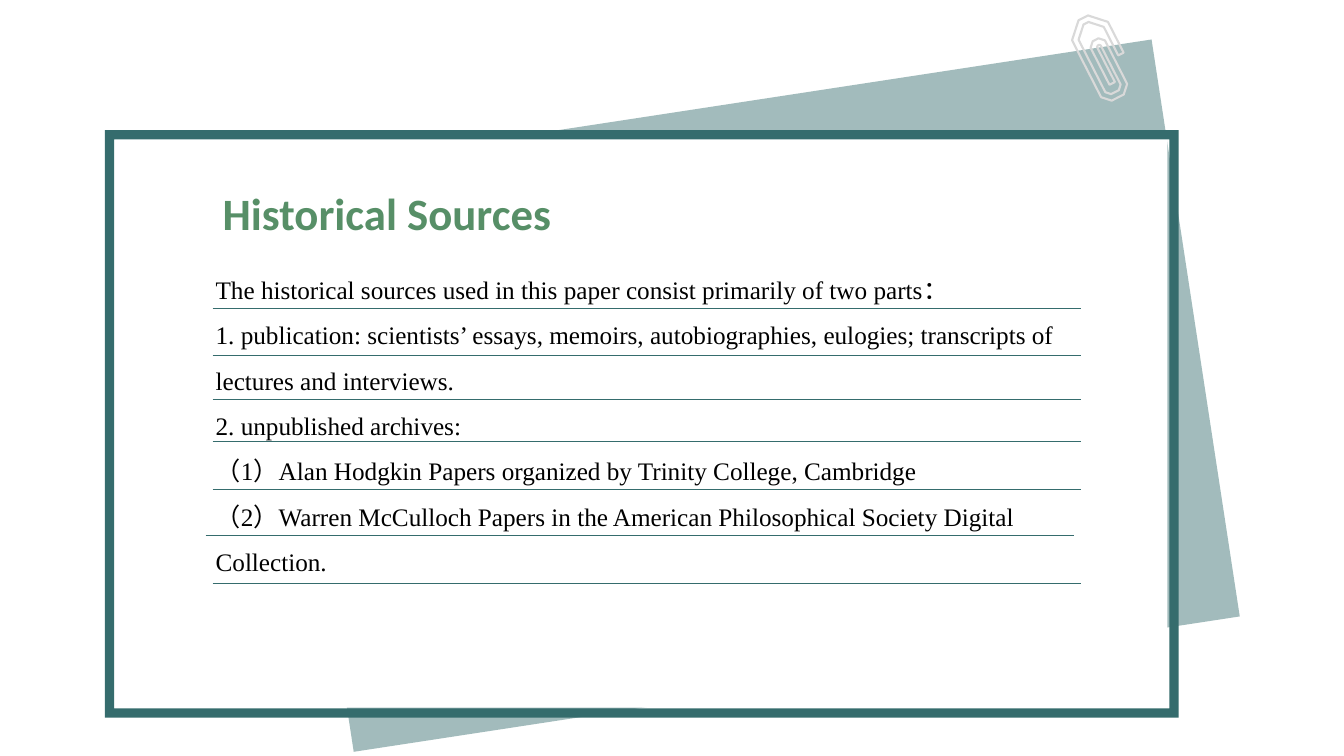
from lxml import etree
from pptx import Presentation
from pptx.dml.color import RGBColor
from pptx.enum.shapes import MSO_CONNECTOR, MSO_SHAPE
from pptx.enum.text import MSO_AUTO_SIZE
from pptx.oxml.ns import qn
from pptx.util import Inches, Pt

RECTANGLE = MSO_SHAPE.RECTANGLE
FRAME = MSO_SHAPE.FRAME
STRAIGHT = MSO_CONNECTOR.STRAIGHT
GROW = MSO_AUTO_SIZE.SHAPE_TO_FIT_TEXT

TEAL = RGBColor(0x35, 0x6C, 0x6D)
GREEN = RGBColor(0x57, 0x8F, 0x67)
GREY = RGBColor(0xD9, 0xD9, 0xD9)
BLACK = RGBColor(0, 0, 0)
WHITE = RGBColor(0xFF, 0xFF, 0xFF)

SOURCES = [
    "The historical sources used in this paper consist primarily of two parts：",
    "1. publication: scientists’ essays, memoirs, autobiographies, eulogies; "
    "transcripts of lectures and interviews.",
    "2. unpublished archives:",
    "（1）Alan Hodgkin Papers organized by Trinity College, Cambridge",
    "（2）Warren McCulloch Papers in the American Philosophical Society Digital Collection.",
]

RULE_LEFT = 2.11
RULE_WIDTH = 8.61
RULE_TOPS = [3.06, 3.53, 3.96, 4.38, 4.85, 5.79]
SHIFTED_RULE = (2.04, 5.31)

CLIP_CENTER = complex(10.94, 0.56)
CLIP_ROTATION = 333
HALF_WIRE = 0.03
OUTER_LEFT, INNER_LEFT, INNER_RIGHT, OUTER_RIGHT = -0.17, -0.04, 0.06, 0.17


def add_block(page, kind, left, top, width, height, color):
    block = page.shapes.add_shape(
        kind, Inches(left), Inches(top), Inches(width), Inches(height))
    block.shadow.inherit = False
    block.fill.solid()
    block.fill.fore_color.rgb = color
    block.line.fill.background()
    return block


def set_opacity(shape, percent):
    color = shape._element.spPr.find(qn("a:solidFill"))[0]
    etree.SubElement(color, qn("a:alpha")).set("val", str(percent * 1000))


def add_text(page, left, top, width, height, lines, font_name, size, color,
             bold=False, spacing=1.0):
    box = page.shapes.add_textbox(
        Inches(left), Inches(top), Inches(width), Inches(height))
    frame = box.text_frame
    frame.word_wrap = True
    frame.auto_size = GROW
    frame.text = "\n".join(lines)
    for para in frame.paragraphs:
        para.line_spacing = spacing
        for span in para.runs:
            span.font.name = font_name
            span.font.size = Pt(size)
            span.font.bold = bold
            span.font.color.rgb = color


def add_rule(page, left, top):
    rule = page.shapes.add_connector(
        STRAIGHT, Inches(left), Inches(top), Inches(left + RULE_WIDTH), Inches(top))
    rule.line.color.rgb = TEAL
    rule.line.width = Pt(0.5)
    etree.SubElement(rule._element.spPr, qn("a:effectLst"))


def bend(start_lane, end_lane, peak, corner):
    inward = corner if end_lane > start_lane else -corner
    shoulder = peak + corner if peak < 0 else peak - corner
    return [
        complex(start_lane, shoulder),
        complex(start_lane + inward, peak),
        complex(end_lane - inward, peak),
        complex(end_lane, shoulder),
    ]


def wire_side(wire):
    steps = [end - start for start, end in zip(wire, wire[1:])]
    normals = [1j * step / abs(step) for step in steps]
    side = []
    for point, before, after in zip(wire, normals[:1] + normals, normals + normals[-1:]):
        miter = (before + after) / (1 + (before * after.conjugate()).real)
        side.append(point + HALF_WIRE * miter)
    return side


def add_paper_clip(page):
    wire = [
        complex(INNER_LEFT, 0.28),
        *bend(INNER_LEFT, INNER_RIGHT, -0.15, 0.03),
        *bend(INNER_RIGHT, OUTER_LEFT, 0.4, 0.06),
        *bend(OUTER_LEFT, OUTER_RIGHT, -0.4, 0.13),
        complex(OUTER_RIGHT, 0.06),
    ]
    outline = wire_side(wire) + wire_side(wire[::-1])
    placed = [CLIP_CENTER + point for point in outline]
    points = [(Inches(point.real), Inches(point.imag)) for point in placed]
    builder = page.shapes.build_freeform(*points[0])
    builder.add_line_segments(points[1:], close=True)
    clip = builder.convert_to_shape()
    clip.shadow.inherit = False
    clip.fill.background()
    clip.line.color.rgb = GREY
    clip.line.width = Pt(1.5)
    clip.rotation = CLIP_ROTATION


def main():
    deck = Presentation()
    deck.slide_width = Inches(13.33)
    deck.slide_height = Inches(7.5)
    page = deck.slides.add_slide(deck.slide_layouts[6])

    backing = add_block(page, RECTANGLE, 3.02, 1.03, 8.89, 5.79, TEAL)
    backing.rotation = 351.3
    set_opacity(backing, 46)
    add_block(page, RECTANGLE, 1.25, 1.38, 10.33, 5.64, WHITE)
    border = add_block(page, FRAME, 1.04, 1.29, 10.65, 5.83, TEAL)
    border.adjustments[0] = 0.016

    add_text(page, 2.11, 1.79, 12.06, 0.64, ["Historical Sources"],
             "Calibri", 32, GREEN, bold=True)
    add_text(page, 2.04, 2.52, 8.75, 4.41, SOURCES,
             "Times New Roman", 18, BLACK, spacing=1.5)
    for top in RULE_TOPS:
        add_rule(page, RULE_LEFT, top)
    add_rule(page, *SHIFTED_RULE)
    add_paper_clip(page)

    deck.save("out.pptx")


if __name__ == "__main__":
    main()
